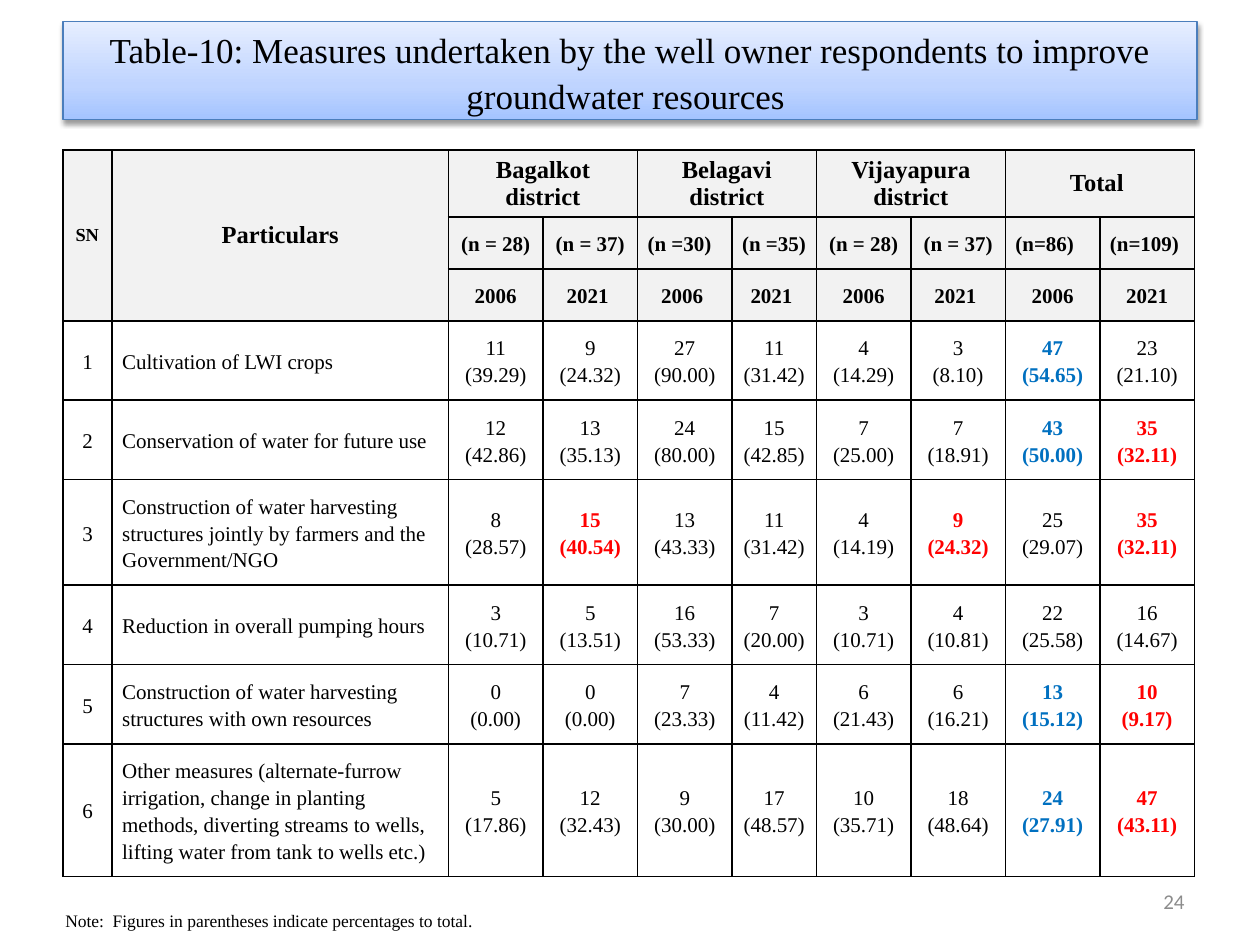
from dataclasses import dataclass

from lxml import etree
from pptx import Presentation
from pptx import util as u
from pptx.dml.color import RGBColor
from pptx.enum import text
from pptx.oxml import ns, parse_xml


@dataclass(frozen=True)
class Theme:
    """Colours, fonts and type sizes of the slide."""
    serif: str = "Times New Roman"
    sans: str = "Calibri"
    ink: str = "000000"
    blue: str = "0070C0"
    red: str = "FF0000"
    grey: str = "8C8C8C"
    header_fill: str = "F2F2F2"
    title_line: str = "4B7EBC"
    title_stops: tuple = ((0, "A4C4FF"), (35, "BFD4FF"), (100, "E6EEFF"))
    title_size: float = 20
    heading_size: float = 14
    body_size: float = 12
    serial_size: float = 10.5
    note_size: float = 10
    line_spacing: float = 1.15


THEME = Theme()
CENTER, LEFT, RIGHT = text.PP_ALIGN.CENTER, text.PP_ALIGN.LEFT, text.PP_ALIGN.RIGHT
TITLE = ("Table-10: Measures undertaken by the well owner respondents "
         "to improve groundwater resources ")
NOTE = "Note:  Figures in parentheses indicate percentages to total."
COLUMN_WIDTHS = [0.39, 2.67, 0.75, 0.75, 0.75, 0.67, 0.75, 0.75, 0.75, 0.75]
ROW_HEIGHTS = [0.53, 0.41, 0.41, 0.63, 0.63, 0.83, 0.63, 0.63, 1.05]
GROUPS = ["Bagalkot district", "Belagavi district", "Vijayapura district", "Total "]
SAMPLES = ["(n = 28)", "(n = 37)", "(n =30)", "(n =35)",
           "(n = 28)", "(n = 37)", "(n=86)", "(n=109)"]
YEARS = ["2006", "2021 ", "2006 ", "2021 ", "2006", "2021 ", "2006", "2021"]
MEASURES = [
    ("Cultivation of LWI crops",
     [11, 9, 27, 11, 4, 3, 47, 23],
     "39.29 24.32 90.00 31.42 14.29 8.10 54.65 21.10"),
    ("Conservation of water for future use",
     [12, 13, 24, 15, 7, 7, 43, 35],
     "42.86 35.13 80.00 42.85 25.00 18.91 50.00 32.11"),
    ("Construction of water harvesting structures jointly by farmers and the Government/NGO",
     [8, 15, 13, 11, 4, 9, 25, 35],
     "28.57 40.54 43.33 31.42 14.19 24.32 29.07 32.11"),
    ("Reduction in overall pumping hours",
     [3, 5, 16, 7, 3, 4, 22, 16],
     "10.71 13.51 53.33 20.00 10.71 10.81 25.58 14.67"),
    ("Construction of water harvesting structures with own resources",
     [0, 0, 7, 4, 6, 6, 13, 10],
     "0.00 0.00 23.33 11.42 21.43 16.21 15.12 9.17"),
    ("Other measures (alternate-furrow irrigation, change in planting methods, "
     "diverting streams to wells, lifting water from tank to wells etc.)",
     [5, 12, 9, 17, 10, 18, 24, 47],
     "17.86 32.43 30.00 48.57 35.71 48.64 27.91 43.11"),
]
HIGHLIGHTS = {
    THEME.blue: {(1, 6), (2, 6), (5, 6), (6, 6)},
    THEME.red: {(2, 7), (3, 1), (3, 5), (3, 7), (5, 7), (6, 7)},
}


def write(frame, words, size, align=LEFT, color=THEME.ink, bold=False,
          font=THEME.serif, spacing=None):
    """Fill a text frame and format every paragraph alike."""
    frame.text = words
    for paragraph in frame.paragraphs:
        paragraph.alignment = align
        paragraph.line_spacing = spacing
        for run in paragraph.runs:
            run.font.name, run.font.size, run.font.bold = font, u.Pt(size), bold
            run.font.color.rgb = RGBColor.from_string(color)


def add_borders(cell):
    """Draw a thin dark line on all four sides of a cell."""
    properties = cell._tc.get_or_add_tcPr()
    for side in ("lnL", "lnR", "lnT", "lnB"):
        line = etree.SubElement(properties, ns.qn(f"a:{side}"), w=str(u.Pt(1)))
        solid = etree.SubElement(line, ns.qn("a:solidFill"))
        etree.SubElement(solid, ns.qn("a:srgbClr"), val=THEME.ink)


def write_cell(cell, words, size=THEME.body_size, align=CENTER, roomy=True, **style):
    """Write one table cell, with wider line spacing and padding if roomy."""
    cell.vertical_anchor = text.MSO_ANCHOR.MIDDLE
    if roomy:
        cell.margin_left = cell.margin_right = u.Inches(0.08)
        cell.margin_top = cell.margin_bottom = u.Inches(0.1)
    write(cell.text_frame, words, size, align,
          spacing=THEME.line_spacing if roomy else None, **style)


def add_title(slide):
    """Format the title placeholder as a shaded banner."""
    title = slide.shapes.title
    title.left, title.top = u.Inches(0.5), u.Inches(0.17)
    title.width, title.height = u.Inches(9), u.Inches(0.78)
    frame = title.text_frame
    frame.word_wrap = True
    frame.auto_size = text.MSO_AUTO_SIZE.NONE
    frame.vertical_anchor = text.MSO_ANCHOR.MIDDLE
    write(frame, TITLE, THEME.title_size, CENTER, spacing=1.1)
    stops = "".join(f'<a:gs pos="{position * 1000}"><a:srgbClr val="{color}"/></a:gs>'
                    for position, color in THEME.title_stops)
    properties = title._element.spPr
    properties.append(parse_xml(
        f'<a:gradFill {ns.nsdecls("a")} rotWithShape="1"><a:gsLst>{stops}</a:gsLst>'
        '<a:lin ang="16200000" scaled="0"/></a:gradFill>'))
    title.line.color.rgb = RGBColor.from_string(THEME.title_line)
    title.line.width = u.Pt(0.75)
    properties.append(parse_xml(
        f'<a:effectLst {ns.nsdecls("a")}><a:outerShdw blurRad="{u.Pt(3.1)}" '
        f'dist="{u.Pt(1.6)}" dir="5400000" rotWithShape="0"><a:srgbClr val="{THEME.ink}">'
        '<a:alpha val="38000"/></a:srgbClr></a:outerShdw></a:effectLst>'))


def add_grid(slide):
    """Add the empty bordered table and return it."""
    table = slide.shapes.add_table(
        len(ROW_HEIGHTS), len(COLUMN_WIDTHS), u.Inches(0.5), u.Inches(1.19),
        u.Inches(sum(COLUMN_WIDTHS)), u.Inches(sum(ROW_HEIGHTS))).table
    table.first_row = table.horz_banding = False
    for column, width in zip(table.columns, COLUMN_WIDTHS):
        column.width = u.Inches(width)
    for index, (row, height) in enumerate(zip(table.rows, ROW_HEIGHTS)):
        row.height = u.Inches(height)
        for cell in row.cells:
            add_borders(cell)
            if index < 3:
                cell.fill.solid()
                cell.fill.fore_color.rgb = RGBColor.from_string(THEME.header_fill)
            else:
                cell.fill.background()
    return table


def fill_header(table):
    """Write the three header rows."""
    for column in (0, 1):
        table.cell(0, column).merge(table.cell(2, column))
    write_cell(table.cell(0, 0), "SN", THEME.serial_size, LEFT, roomy=False, bold=True)
    write_cell(table.cell(0, 1), "Particulars", THEME.heading_size, roomy=False, bold=True)
    for index, group in enumerate(GROUPS):
        column = 2 + 2 * index
        table.cell(0, column).merge(table.cell(0, column + 1))
        write_cell(table.cell(0, column), group, THEME.heading_size, roomy=False, bold=True)
    for column, (sample, year) in enumerate(zip(SAMPLES, YEARS), 2):
        align = CENTER if "n = " in sample else LEFT
        write_cell(table.cell(1, column), sample, align=align, bold=True)
        write_cell(table.cell(2, column), year, bold=True)


def fill_measures(table):
    """Write one row per measure, with highlighted results in colour."""
    for serial, (measure, counts, shares) in enumerate(MEASURES, 1):
        row = serial + 2
        write_cell(table.cell(row, 0), str(serial))
        write_cell(table.cell(row, 1), measure, align=LEFT)
        for index, (count, share) in enumerate(zip(counts, shares.split())):
            color = next((hue for hue, spots in HIGHLIGHTS.items()
                          if (serial, index) in spots), THEME.ink)
            write_cell(table.cell(row, index + 2), f"{count}\n({share})",
                       color=color, bold=color != THEME.ink)


def add_label(slide, words, left, top, width, height, size, **style):
    """Add a small wrapped text box."""
    frame = slide.shapes.add_textbox(*map(u.Inches, (left, top, width, height))).text_frame
    frame.word_wrap = True
    write(frame, words, size, **style)
    return frame


def main():
    """Build and save the slide."""
    deck = Presentation()
    deck.slide_width, deck.slide_height = u.Inches(10), u.Inches(7.5)
    slide = deck.slides.add_slide(deck.slide_layouts[5])
    add_title(slide)
    table = add_grid(slide)
    fill_header(table)
    fill_measures(table)
    add_label(slide, NOTE, 0.42, 7.17, 5, 0.27, THEME.note_size)
    page = add_label(slide, "24", 7.17, 6.95, 2.33, 0.4, THEME.body_size,
                     align=RIGHT, color=THEME.grey, font=THEME.sans)
    page.vertical_anchor = text.MSO_ANCHOR.MIDDLE
    deck.save("out.pptx")


if __name__ == "__main__":
    main()
